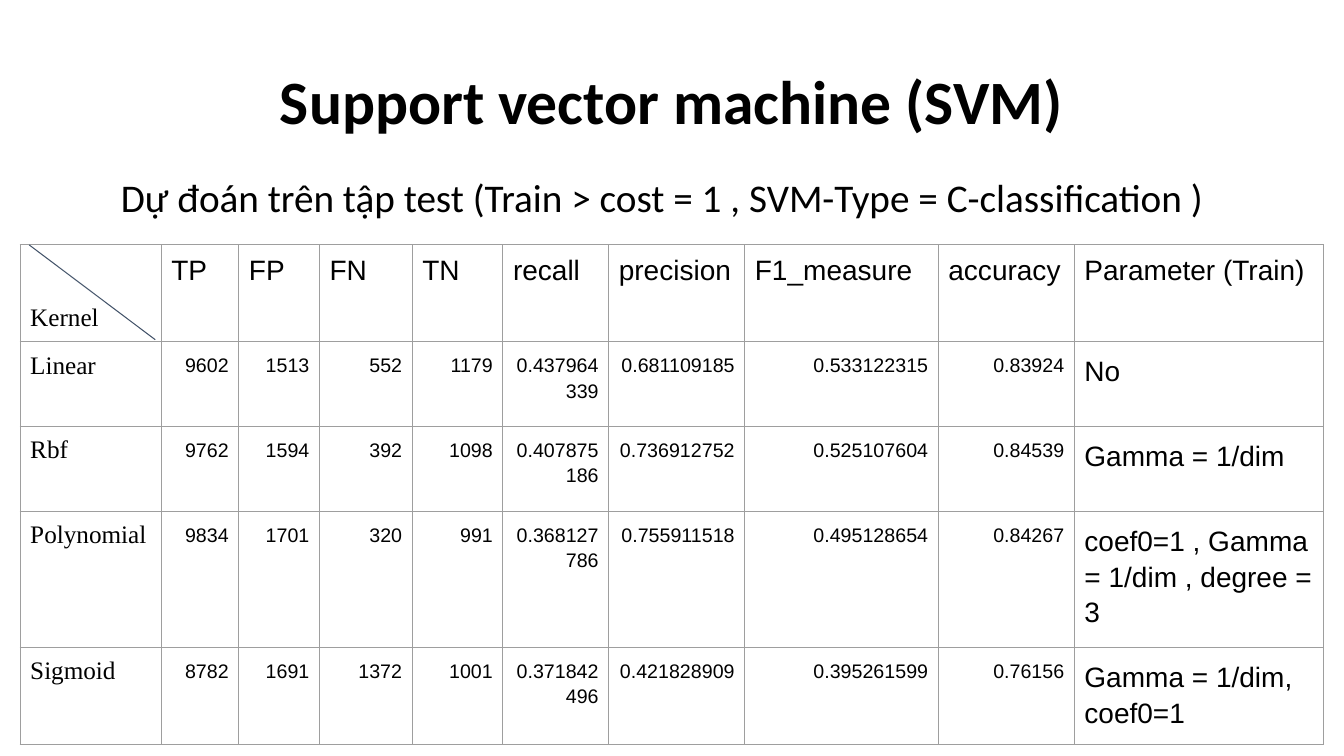
from dataclasses import dataclass

from lxml import etree
from pptx import Presentation
from pptx.dml.color import RGBColor
from pptx.enum import shapes, text
from pptx.oxml import ns
from pptx.util import Pt

BLACK = RGBColor(0x00, 0x00, 0x00)
GRID_GRAY = RGBColor(0x9E, 0x9E, 0x9E)
SLATE = RGBColor(0x44, 0x54, 0x6A)

LEFT, RIGHT, CENTER = text.PP_ALIGN.LEFT, text.PP_ALIGN.RIGHT, text.PP_ALIGN.CENTER
TOP, BOTTOM = text.MSO_ANCHOR.TOP, text.MSO_ANCHOR.BOTTOM

TABLE_LEFT, TABLE_TOP = 14.4, 174.96
COLUMN_WIDTHS = [100.8, 55.44, 57.6, 66.24, 64.8, 75.6, 97.2, 138.24, 97.2, 177.84]
ROW_HEIGHTS = [69.12, 60.48, 60.48, 92.88, 66.24]
CELL_INSET = 7.2


@dataclass(frozen=True)
class Style:
    font: str
    size: float
    align: text.PP_ALIGN = LEFT
    spacing: float = 1.0
    bold: bool = False


@dataclass(frozen=True)
class Heading:
    wording: str
    left: float
    top: float
    width: float
    height: float
    style: Style
    anchor: text.MSO_ANCHOR = TOP
    inset: float = 7.2
    space_before: float = 0


@dataclass(frozen=True)
class KernelResult:
    kernel: str
    scores: tuple[str, ...]
    parameter: str


KERNEL_STYLE = Style("Times New Roman", 18)
MEASURE_STYLE = Style("Arial", 20)
SCORE_STYLE = Style("Arial", 14, RIGHT, 1.15)
PARAMETER_STYLE = Style("Arial", 20, spacing=1.15)

HEADINGS = [
    Heading("Support vector machine (SVM)", 120, 30.24, 720, 72,
            Style("Calibri", 44, CENTER, 0.9, True), BOTTOM),
    Heading("Dự đoán trên tập test (Train > cost = 1 , SVM-Type = C-classification )",
            61.2, 123.84, 812.16, 348.48, Style("Calibri", 28, spacing=0.9),
            inset=25.2, space_before=10),
]
MEASURES = ["TP", "FP", "FN", "TN", "recall", "precision", "F1_measure", "accuracy",
            "Parameter (Train)"]
RESULTS = [
    KernelResult("Linear", ("9602", "1513", "552", "1179", "0.437964339", "0.681109185",
                            "0.533122315", "0.83924"), "No"),
    KernelResult("Rbf", ("9762", "1594", "392", "1098", "0.407875186", "0.736912752",
                         "0.525107604", "0.84539"), "Gamma = 1/dim"),
    KernelResult("Polynomial", ("9834", "1701", "320", "991", "0.368127786", "0.755911518",
                                "0.495128654", "0.84267"),
                 "coef0=1 , Gamma = 1/dim , degree = 3"),
    KernelResult("Sigmoid", ("8782", "1691", "1372", "1001", "0.371842496", "0.421828909",
                             "0.395261599", "0.76156"), "Gamma = 1/dim, coef0=1"),
]


def write(frame, wording: str, style: Style, space_before: float = 0) -> None:
    paragraph = frame.paragraphs[0]
    paragraph.alignment = style.align
    paragraph.line_spacing = style.spacing
    paragraph.space_before = Pt(space_before)
    run = paragraph.add_run()
    run.text = wording
    run.font.name = style.font
    run.font.size = Pt(style.size)
    run.font.bold = style.bold
    run.font.color.rgb = BLACK


def add_heading(slide, heading: Heading) -> None:
    frame = slide.shapes.add_textbox(Pt(heading.left), Pt(heading.top),
                                     Pt(heading.width), Pt(heading.height)).text_frame
    frame.word_wrap = True
    frame.vertical_anchor = heading.anchor
    frame.margin_left = Pt(heading.inset)
    write(frame, heading.wording, heading.style, heading.space_before)


def draw_borders(cell) -> None:
    properties = cell._tc.get_or_add_tcPr()
    for side in ("a:lnL", "a:lnR", "a:lnT", "a:lnB"):
        border = etree.SubElement(properties, ns.qn(side), w=str(Pt(0.75)))
        fill = etree.SubElement(border, ns.qn("a:solidFill"))
        etree.SubElement(fill, ns.qn("a:srgbClr"), val=str(GRID_GRAY))


def fill_cell(cell, wording: str, style: Style) -> None:
    cell.margin_left = cell.margin_right = Pt(CELL_INSET)
    cell.margin_top = cell.margin_bottom = Pt(CELL_INSET)
    draw_borders(cell)
    cell.fill.background()
    write(cell.text_frame, wording, style)


def add_results(slide) -> None:
    results = slide.shapes.add_table(
        len(ROW_HEIGHTS), len(COLUMN_WIDTHS), Pt(TABLE_LEFT), Pt(TABLE_TOP),
        Pt(sum(COLUMN_WIDTHS)), Pt(sum(ROW_HEIGHTS))).table
    results.first_row = results.horz_banding = False
    for column, width in zip(results.columns, COLUMN_WIDTHS):
        column.width = Pt(width)
    for row, height in zip(results.rows, ROW_HEIGHTS):
        row.height = Pt(height)

    header = [("Kernel", KERNEL_STYLE)] + [(name, MEASURE_STYLE) for name in MEASURES]
    body = [[(result.kernel, KERNEL_STYLE),
             *((score, SCORE_STYLE) for score in result.scores),
             (result.parameter, PARAMETER_STYLE)] for result in RESULTS]
    for row, entries in zip(results.rows, [header, *body]):
        for cell, (wording, style) in zip(row.cells, entries):
            fill_cell(cell, wording, style)
    results.cell(0, 0).vertical_anchor = BOTTOM


def add_header_diagonal(slide) -> None:
    diagonal = slide.shapes.add_connector(shapes.MSO_CONNECTOR.STRAIGHT, Pt(20.88),
                                          Pt(TABLE_TOP), Pt(110.88), Pt(242.64))
    diagonal.line.color.rgb = SLATE
    diagonal.line.width = Pt(0.75)
    etree.SubElement(diagonal._element.spPr, ns.qn("a:effectLst"))


def main() -> None:
    deck = Presentation()
    deck.slide_width, deck.slide_height = Pt(960), Pt(540)
    slide = deck.slides.add_slide(deck.slide_layouts[6])
    for heading in HEADINGS:
        add_heading(slide, heading)
    add_results(slide)
    add_header_diagonal(slide)
    deck.save("out.pptx")


if __name__ == "__main__":
    main()
